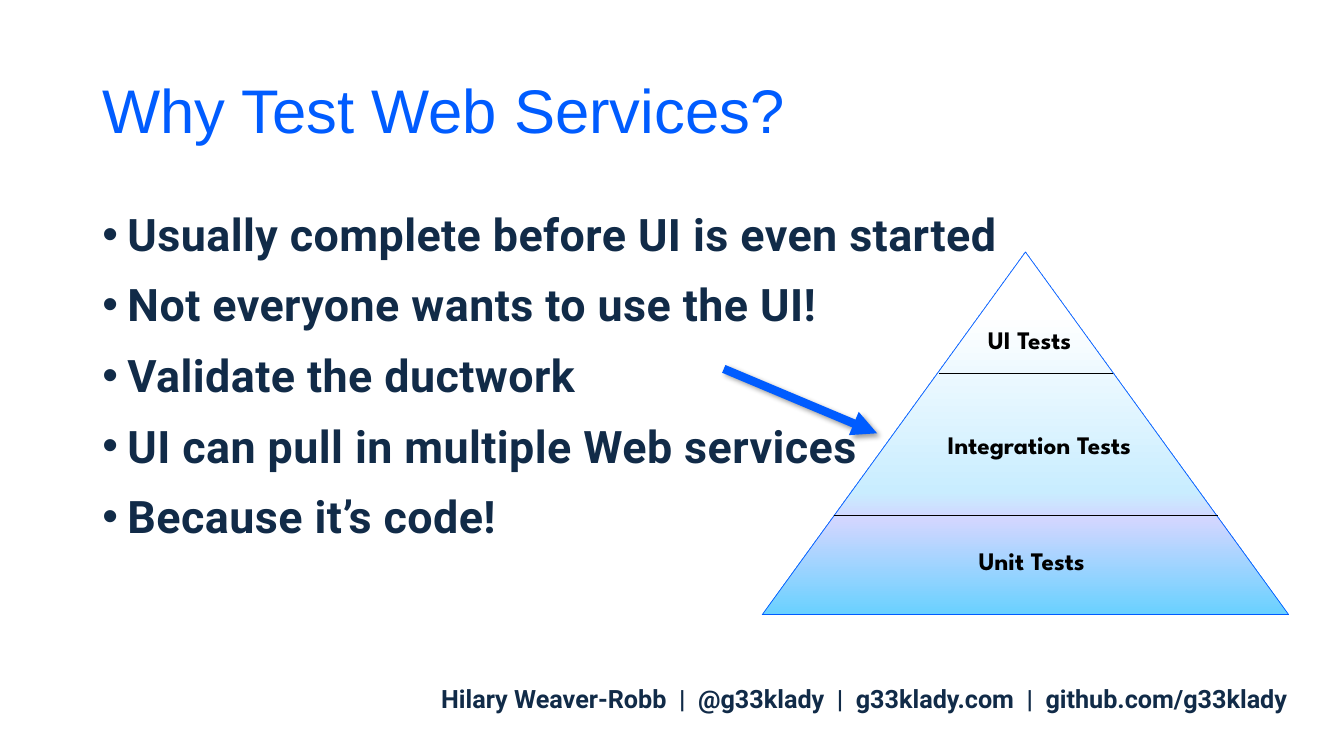
from lxml.etree import SubElement
from pptx import Presentation
from pptx.dml.color import RGBColor
from pptx.enum.shapes import MSO_CONNECTOR, MSO_SHAPE
from pptx.enum.text import MSO_ANCHOR, PP_ALIGN
from pptx.oxml import parse_xml
from pptx.oxml.ns import nsdecls, qn
from pptx.util import Pt

BLUE, NAVY, BLACK = "005CFF", "112B48", "000000"

deck = Presentation()
deck.slide_width, deck.slide_height = Pt(960), Pt(540)
slide = deck.slides.add_slide(deck.slide_layouts[6])


def add_text(text, left, top, width, height, size, font, color, bold=True,
             align=PP_ALIGN.LEFT, anchor=MSO_ANCHOR.TOP, line_spacing=1.0,
             bullet=False, tracking=0):
    """Add a text box with one paragraph for each line of text."""
    frame = slide.shapes.add_textbox(Pt(left), Pt(top), Pt(width), Pt(height)).text_frame
    frame.word_wrap = True
    frame.vertical_anchor = anchor
    for index, line in enumerate(text.split("\n")):
        paragraph = frame.add_paragraph() if index else frame.paragraphs[0]
        paragraph.alignment = align
        paragraph.line_spacing = line_spacing
        if bullet:
            paragraph.space_before = Pt(6 if index else 0)
            paragraph.space_after = Pt(6)
            properties = paragraph._p.get_or_add_pPr()
            properties.set("marL", str(Pt(18)))
            properties.set("indent", str(Pt(-18)))
            SubElement(properties, qn("a:buFont"), typeface="Arial")
            SubElement(properties, qn("a:buChar"), char="•")
        run = paragraph.add_run()
        run.text = line
        run.font.size, run.font.name, run.font.bold = Pt(size), font, bold
        run.font.color.rgb = RGBColor.from_string(color)
        if tracking:
            run.font._element.set("spc", str(int(tracking * 100)))


def add_line(x1, y1, x2, y2, color, width):
    line = slide.shapes.add_connector(MSO_CONNECTOR.STRAIGHT, Pt(x1), Pt(y1), Pt(x2), Pt(y2))
    line.line.color.rgb = RGBColor.from_string(color)
    line.line.width = Pt(width)
    effects = SubElement(line._element.spPr, qn("a:effectLst"))
    return line, effects


add_text("Why Test Web Services?", 66, 29, 828, 104, 44, "Arial", BLUE,
         bold=False, anchor=MSO_ANCHOR.MIDDLE, line_spacing=0.9)

reasons = [
    "Usually complete before UI is even started",
    "Not everyone wants to use the UI!",
    "Validate the ductwork",
    "UI can pull in multiple Web services",
    "Because it’s code!",
]
add_text("\n".join(reasons), 66, 144, 828, 326, 32, "Roboto", NAVY,
         bullet=True, tracking=0.3)

add_text("Hilary Weaver-Robb  |  @g33klady  |  g33klady.com  |  github.com/g33klady",
         293, 484.5, 649, 29, 18, "Roboto", NAVY, align=PP_ALIGN.CENTER)

# Test pyramid, shaded from the base up
pyramid = slide.shapes.add_shape(MSO_SHAPE.ISOSCELES_TRIANGLE,
                                 Pt(544.5), Pt(180), Pt(376), Pt(259))
pyramid.shadow.inherit = False
pyramid.line.color.rgb = RGBColor.from_string(BLUE)
pyramid.line.width = Pt(0.5)
shades = [(0, "69D1FF"), (26, "D1D6FF"), (34, "C9EDFF"), (83, "FFFFFF")]
stops = "".join(f'<a:gs pos="{percent * 1000}"><a:srgbClr val="{color}"/></a:gs>'
                for percent, color in shades)
pyramid._element.spPr.find(qn("a:prstGeom")).addnext(parse_xml(
    f'<a:gradFill {nsdecls("a")} rotWithShape="1"><a:gsLst>{stops}</a:gsLst>'
    '<a:lin ang="16200000" scaled="0"/></a:gradFill>'))

for left, right, y in [(671, 795, 267), (595.5, 870, 368)]:
    add_line(left, y, right, y, BLACK, 0.75)

for level, left, top, width, align in [
    ("Unit Tests", 692, 386, 120, PP_ALIGN.LEFT),
    ("Integration Tests", 648, 303, 189, PP_ALIGN.CENTER),
    ("UI Tests", 698.5, 228, 109, PP_ALIGN.LEFT),
]:
    add_text(level, left, top, width, 37.5, 18, "League Spartan", BLACK, align=align)

# Arrow to the integration level
arrow, arrow_effects = add_line(517, 263.5, 626.5, 309.5, BLUE, 6)
SubElement(arrow.line._get_or_add_ln(), qn("a:tailEnd"), type="triangle")
shadow = SubElement(arrow_effects, qn("a:outerShdw"), blurRad=str(Pt(4)),
                    dist=str(Pt(3)), dir="2700000", algn="tl", rotWithShape="0")
shadow_color = SubElement(shadow, qn("a:srgbClr"), val=BLACK)
SubElement(shadow_color, qn("a:alpha"), val="40000")

deck.save("out.pptx")
